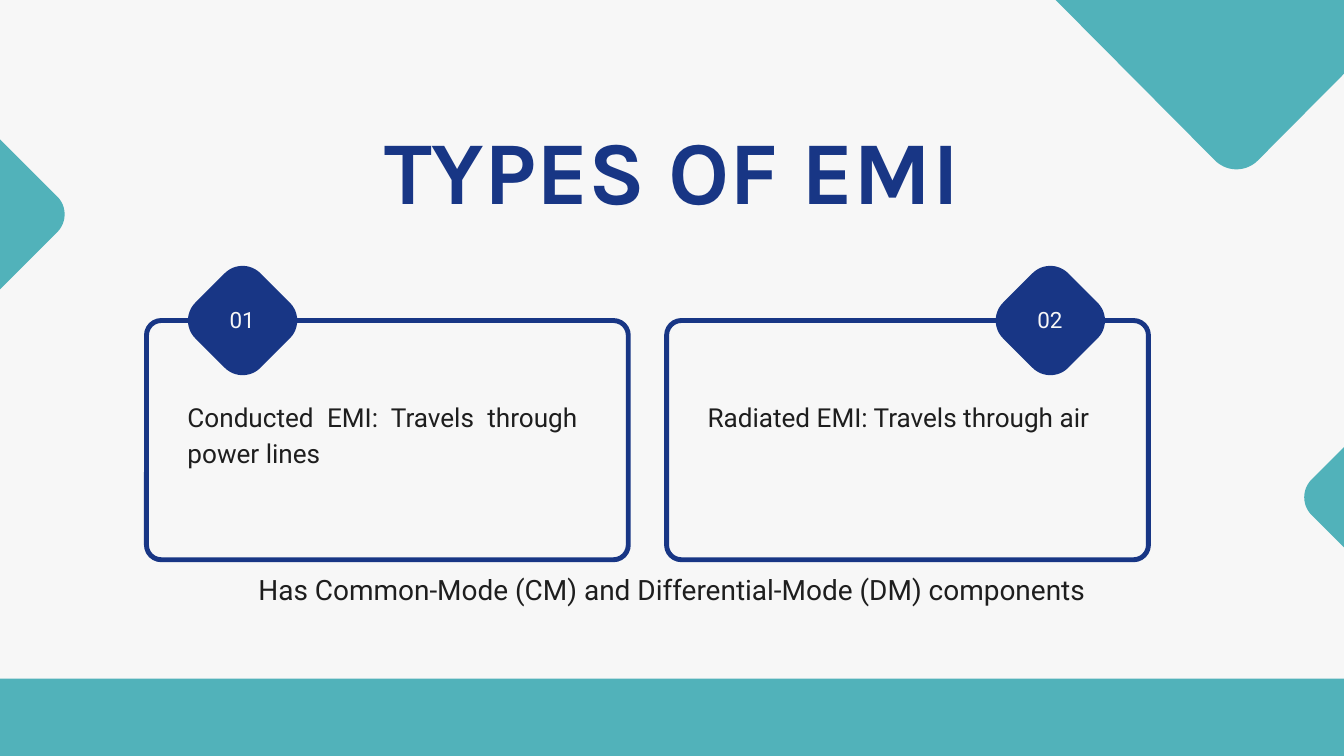
from math import cos, radians, sin

from pptx import Presentation
from pptx.dml.color import RGBColor
from pptx.enum.shapes import MSO_SHAPE
from pptx.enum.text import MSO_ANCHOR, PP_ALIGN
from pptx.util import Inches, Pt

NAVY, TEAL, INK, PAPER = "183685", "51B2BA", "1E1E1E", "F7F7F7"
DIAMOND_RADIUS = 0.375
CARD_TOP, CARD_W, CARD_H, CARD_RADIUS = 4.77, 7.17, 3.56, 0.22

CARDS = [
    (2.18, 3.61, "01", "Conducted EMI: Travels through power lines"),
    (9.92, 15.63, "02", "Radiated EMI: Travels through air"),
]
TITLE = {"name": "Karla", "size": Pt(96), "bold": True}
CAPTION = {"name": "Roboto", "size": Pt(30)}
BODY = {"name": "Roboto", "size": Pt(28)}
NUMBER = {"name": "Roboto", "size": Pt(24)}


def rgb(value):
    """Turn a hex string into a colour."""
    return RGBColor.from_string(value)


def paint(sp, fill=None, line=None, width=0):
    """Set the fill and outline of a shape and drop its shadow."""
    sp.shadow.inherit = False
    if fill:
        sp.fill.solid()
        sp.fill.fore_color.rgb = rgb(fill)
    else:
        sp.fill.background()
    if line:
        sp.line.color.rgb = rgb(line)
        sp.line.width = Pt(width)
    else:
        sp.line.fill.background()


def add_box(s, kind, x, y, w, h, radius=0, **style):
    """Add a painted rectangle, rounded by a radius in inches."""
    sp = s.shapes.add_shape(kind, Inches(x), Inches(y), Inches(w), Inches(h))
    if radius:
        sp.adjustments[0] = radius / min(w, h)
    paint(sp, **style)
    return sp


def add_diamond(s, cx, cy, side, fill):
    """Add a rounded square standing on its corner."""
    sp = add_box(s, MSO_SHAPE.ROUNDED_RECTANGLE, cx - side / 2, cy - side / 2,
                 side, side, DIAMOND_RADIUS, fill=fill)
    sp.rotation = 45


def add_wedge(s, cx, cy, radius, top, half_width, fill):
    """Add a downward triangle whose tip is an arc around (cx, cy)."""
    arc = [(cx + radius * cos(radians(a)), cy + radius * sin(radians(a)))
           for a in range(45, 136, 5)]
    points = [(cx + half_width, top), *arc, (cx - half_width, top)]
    points = [(Inches(x), Inches(y)) for x, y in points]
    builder = s.shapes.build_freeform(*points[0])
    builder.add_line_segments(points[1:], close=True)
    paint(builder.convert_to_shape(), fill=fill)


def add_text(s, x, y, w, h, text, font, color, spacing,
             align=PP_ALIGN.CENTER, anchor=MSO_ANCHOR.TOP, inset=0):
    """Add a wrapped one-paragraph text box."""
    tf = s.shapes.add_textbox(Inches(x), Inches(y), Inches(w), Inches(h)).text_frame
    frame = {"word_wrap": True, "vertical_anchor": anchor}
    for side in ("left", "top", "right", "bottom"):
        frame[f"margin_{side}"] = Inches(inset)
    for key, value in frame.items():
        setattr(tf, key, value)
    p = tf.paragraphs[0]
    p.alignment, p.line_spacing = align, Pt(spacing)
    r = p.add_run()
    r.text = text
    for key, value in font.items():
        setattr(r.font, key, value)
    r.font.color.rgb = rgb(color)


def add_card(s, x, badge_x, number, text):
    """Add an outlined card with its numbered badge and text."""
    add_box(s, MSO_SHAPE.ROUNDED_RECTANGLE, x, CARD_TOP, CARD_W, CARD_H,
            CARD_RADIUS, line=NAVY, width=5.25)
    add_diamond(s, badge_x, CARD_TOP, 1.37, NAVY)
    add_text(s, badge_x - 0.64, 4.02, 1.27, 1.39, number, NUMBER, PAPER, 33.6,
             anchor=MSO_ANCHOR.MIDDLE, inset=0.06)
    add_text(s, x + 0.61, 5.89, 5.8, 1.08, text, BODY, INK, 39.2,
             align=PP_ALIGN.JUSTIFY)


def main():
    """Build the slide and save it."""
    prs = Presentation()
    prs.slide_width, prs.slide_height = Inches(20), Inches(11.25)
    s = prs.slides.add_slide(prs.slide_layouts[6])
    s.background.fill.solid()
    s.background.fill.fore_color.rgb = rgb(PAPER)

    add_wedge(s, 18.4, 2.07, 0.45, -7.5, 10.14, TEAL)
    add_text(s, 0.36, 8.43, 19.28, 0.57,
             "Has Common-Mode (CM) and Differential-Mode (DM) components",
             CAPTION, INK, 42)
    add_text(s, 3.44, 2.11, 13.12, 1.3, "TYPES OF EMI", TITLE, NAVY, 86.4)
    for card in CARDS:
        add_card(s, *card)
    add_box(s, MSO_SHAPE.RECTANGLE, -1.13, 10.1, 23.53, 2.29, fill=TEAL)
    add_diamond(s, -0.94, 3.19, 2.91, TEAL)
    add_diamond(s, 20.78, 7.4, 2.16, TEAL)
    prs.save("out.pptx")


if __name__ == "__main__":
    main()
